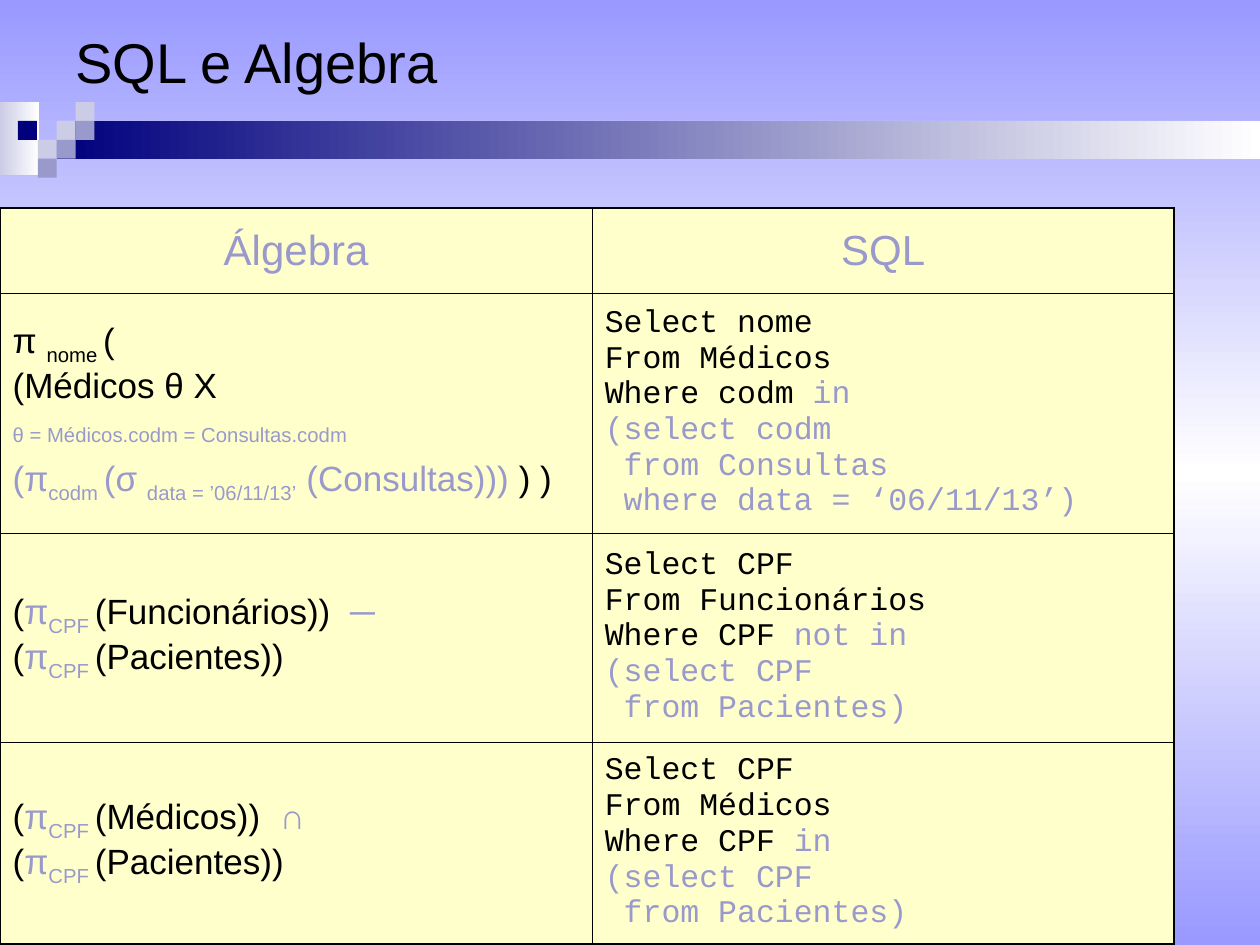
from copy import deepcopy

from lxml import etree
from pptx import Presentation
from pptx.dml.color import RGBColor
from pptx.enum.shapes import MSO_SHAPE
from pptx.enum.text import MSO_ANCHOR, PP_ALIGN
from pptx.oxml.ns import qn
from pptx.util import Inches, Pt

RECT = MSO_SHAPE.RECTANGLE
MIDDLE = MSO_ANCHOR.MIDDLE
LEFT, CENTER = PP_ALIGN.LEFT, PP_ALIGN.CENTER

BLACK, WHITE, NAVY = "000000", "FFFFFF", "00007D"
LILAC, PALE, SKY, CREAM = "9999CC", "CCCCE6", "9999FF", "FFFFCC"
OUTER, INNER = 1.08, 0.45  # border widths in points
TILE, MOSAIC_TOP = 0.15, 0.81  # grid of the header mosaic, in inches

# Run styles: font values, plus a baseline shift in thousandths of a percent
ALGEBRA = {"name": "Arial", "size": Pt(20), "color": BLACK}
CODE = {"name": "Courier New", "size": Pt(18), "color": BLACK}
FORMATS = {
    "title": {**ALGEBRA, "size": Pt(32)},
    "head": {**ALGEBRA, "size": Pt(24), "color": LILAC},
    "alg": ALGEBRA,
    "alg_sub": {**ALGEBRA, "baseline": -25000},
    "new": {**ALGEBRA, "color": LILAC},
    "new_sub": {**ALGEBRA, "color": LILAC, "baseline": -25000},
    "new_sup": {**ALGEBRA, "color": LILAC, "baseline": 30000},
    "code": CODE,
    "new_code": {**CODE, "color": LILAC},
}


def rgb(color):
    return RGBColor.from_string(color)


class SlideBuilder:
    def __init__(self, deck):
        self.slide = deck.slides.add_slide(deck.slide_layouts[6])
        self.width, self.height = deck.slide_width, deck.slide_height

    def gradient(self, fill, colors, angle):
        """Spread the colours evenly along the given angle."""
        fill.gradient()
        fill.gradient_angle = angle
        stops = fill.gradient_stops
        first = stops[0]._gs
        for _ in range(len(colors) - len(stops)):
            first.addnext(deepcopy(first))
        for i, (stop, color) in enumerate(zip(fill.gradient_stops, colors)):
            stop.color.rgb = rgb(color)
            stop.position = i / (len(colors) - 1)

    def tile(self, col, row, colors, cols=1, rows=1):
        """Place a rectangle on the mosaic grid."""
        shape = self.slide.shapes.add_shape(
            RECT, Inches(col * TILE), Inches(MOSAIC_TOP + row * TILE),
            Inches(cols * TILE), Inches(rows * TILE))
        shape.shadow.inherit = False
        shape.line.fill.background()
        if len(colors) > 1:
            self.gradient(shape.fill, colors, 180)
        else:
            shape.fill.solid()
            shape.fill.fore_color.rgb = rgb(colors[0])

    def add_lines(self, frame, lines, align=LEFT):
        """Each line is a list of (text, style) runs."""
        for i, line in enumerate(lines):
            paragraph = frame.paragraphs[0] if i == 0 else frame.add_paragraph()
            paragraph.alignment = align
            if line[0][1] == "new_sup":
                paragraph.space_before = Pt(8.8)
            for text, style in line:
                run = paragraph.add_run()
                run.text = text
                for key, value in FORMATS[style].items():
                    if key == "color":
                        run.font.color.rgb = rgb(value)
                    elif key == "baseline":
                        run._r.get_or_add_rPr().set("baseline", str(value))
                    else:
                        setattr(run.font, key, value)

    def title(self, text, x, y, w, h):
        """Position and size are shares of the slide."""
        box = self.slide.shapes.add_textbox(
            int(x * self.width), int(y * self.height),
            int(w * self.width), int(h * self.height))
        box.text_frame.word_wrap = True
        box.text_frame.vertical_anchor = MIDDLE
        self.add_lines(box.text_frame, [[(text, "title")]])

    def borders(self, cell, widths):
        properties = cell._tc.get_or_add_tcPr()
        for i, (side, width) in enumerate(widths.items()):
            line = etree.Element(qn(f"a:ln{side}"), w=str(int(Pt(width))))
            solid = etree.SubElement(line, qn("a:solidFill"))
            etree.SubElement(solid, qn("a:srgbClr"), val=BLACK)
            properties.insert(i, line)

    def table(self, rows, top, col_widths, row_heights):
        frame = self.slide.shapes.add_table(
            len(rows), len(col_widths), 0, int(top * self.height),
            Inches(sum(col_widths)), Inches(sum(row_heights)))
        table = frame.table
        table.first_row = table.horz_banding = False
        for column, width in zip(table.columns, col_widths):
            column.width = Inches(width)
        for row, height in zip(table.rows, row_heights):
            row.height = Inches(height)
        last_row, last_col = len(rows) - 1, len(col_widths) - 1
        for r, row in enumerate(rows):
            for c, lines in enumerate(row):
                cell = table.cell(r, c)
                cell.vertical_anchor = MIDDLE
                cell.fill.solid()
                cell.fill.fore_color.rgb = rgb(CREAM)
                on_edge = {"L": c == 0, "R": c == last_col,
                           "T": r == 0, "B": r == last_row}
                self.borders(cell, {side: OUTER if edge else INNER
                                    for side, edge in on_edge.items()})
                self.add_lines(cell.text_frame, lines,
                               CENTER if r == 0 else LEFT)


def projection(relation, operator=None):
    """Algebra line projecting the CPF of a relation."""
    line = [("(", "alg"), ("π", "new"), ("CPF ", "new_sub")]
    if operator is None:
        return line + [(f"({relation}))", "alg")]
    return line + [(f"({relation}))  ", "alg"), (operator, "new")]


def query(field, relation, condition, operator, subquery):
    """SQL lines with a highlighted nested query."""
    return [[(f"Select {field}", "code")],
            [(f"From {relation}", "code")],
            [(f"Where {condition} ", "code"), (operator, "new_code")],
            *[[(text, "new_code")] for text in subquery]]


def main():
    deck = Presentation()
    deck.slide_width, deck.slide_height = Inches(10), Inches(7.5)
    page = SlideBuilder(deck)
    page.gradient(page.slide.background.fill, [SKY, WHITE, SKY], 90)

    # Header mosaic: side panel, long bar, small tiles
    page.tile(0, 0, [WHITE, PALE], cols=2.07, rows=3.87)
    page.tile(3, 1, [WHITE, NAVY], cols=10 / TILE - 3, rows=2)
    for col, row, color in [(3, 1, PALE), (4, 0, PALE), (4, 1, LILAC),
                            (2, 2, PALE), (0.95, 1, NAVY), (3, 2, LILAC),
                            (2, 3, LILAC)]:
        page.tile(col, row, [color])

    # Comparison of algebra and SQL
    join = [
        [("π ", "alg"), ("nome ", "alg_sub"), ("(", "alg")],
        [("(Médicos θ X", "alg")],
        [("θ = Médicos.codm = Consultas.codm", "new_sup")],
        [("(π", "new"), ("codm ", "new_sub"), ("(σ ", "new"),
         ("data = ’06/11/13’", "new_sub"), (" (Consultas)))", "new"),
         (" ) )", "alg")],
    ]
    by_date = ["(select codm", " from Consultas", " where data = ‘06/11/13’)"]
    patients = ["(select CPF", " from Pacientes)"]
    rows = [
        [[[("Álgebra", "head")]], [[("SQL", "head")]]],
        [join, query("nome", "Médicos", "codm", "in", by_date)],
        [[projection("Funcionários", "─"), projection("Pacientes")],
         query("CPF", "Funcionários", "CPF", "not in", patients)],
        [[projection("Médicos", "∩"), projection("Pacientes")],
         query("CPF", "Médicos", "CPF", "in", patients)],
    ]
    page.table(rows, 0.22, [4.7, 4.62], [0.68, 1.9, 1.66, 1.6])

    page.title("SQL e Algebra", 0.05, 0, 0.9, 0.13)
    deck.save("out.pptx")


if __name__ == "__main__":
    main()
